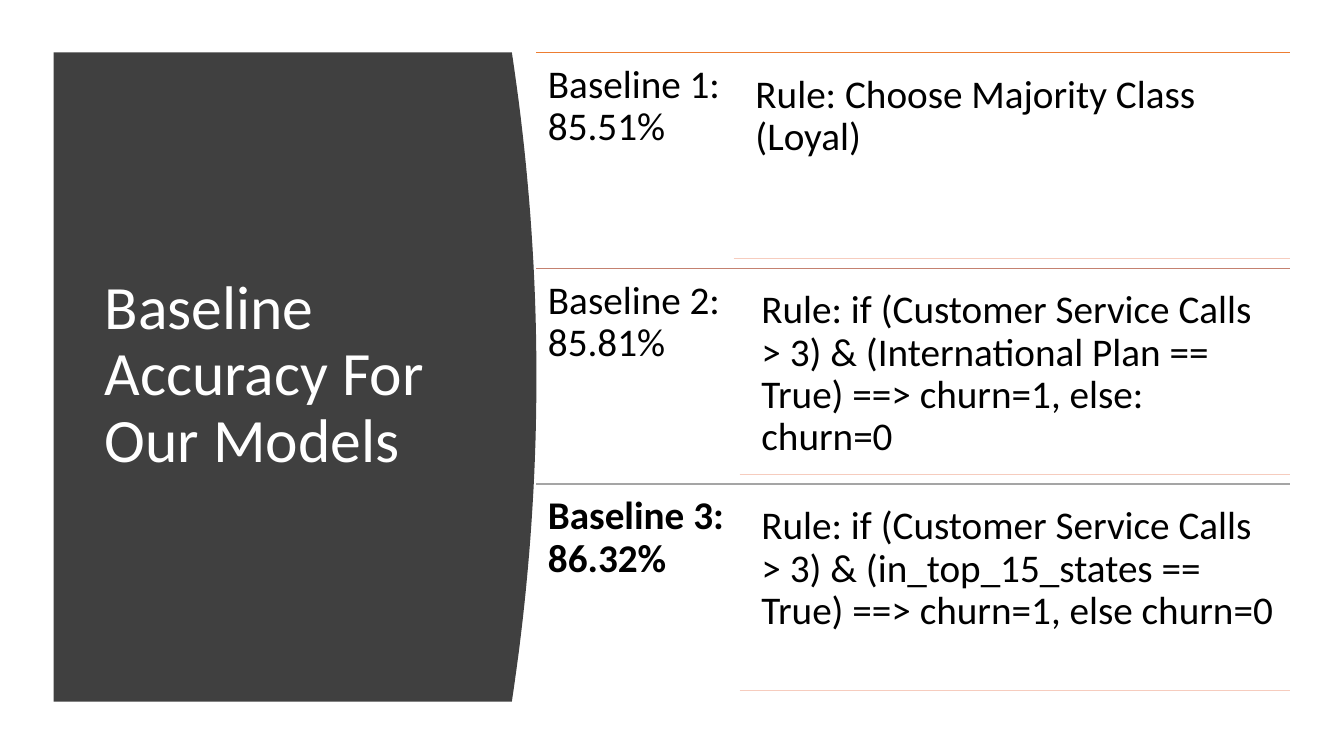
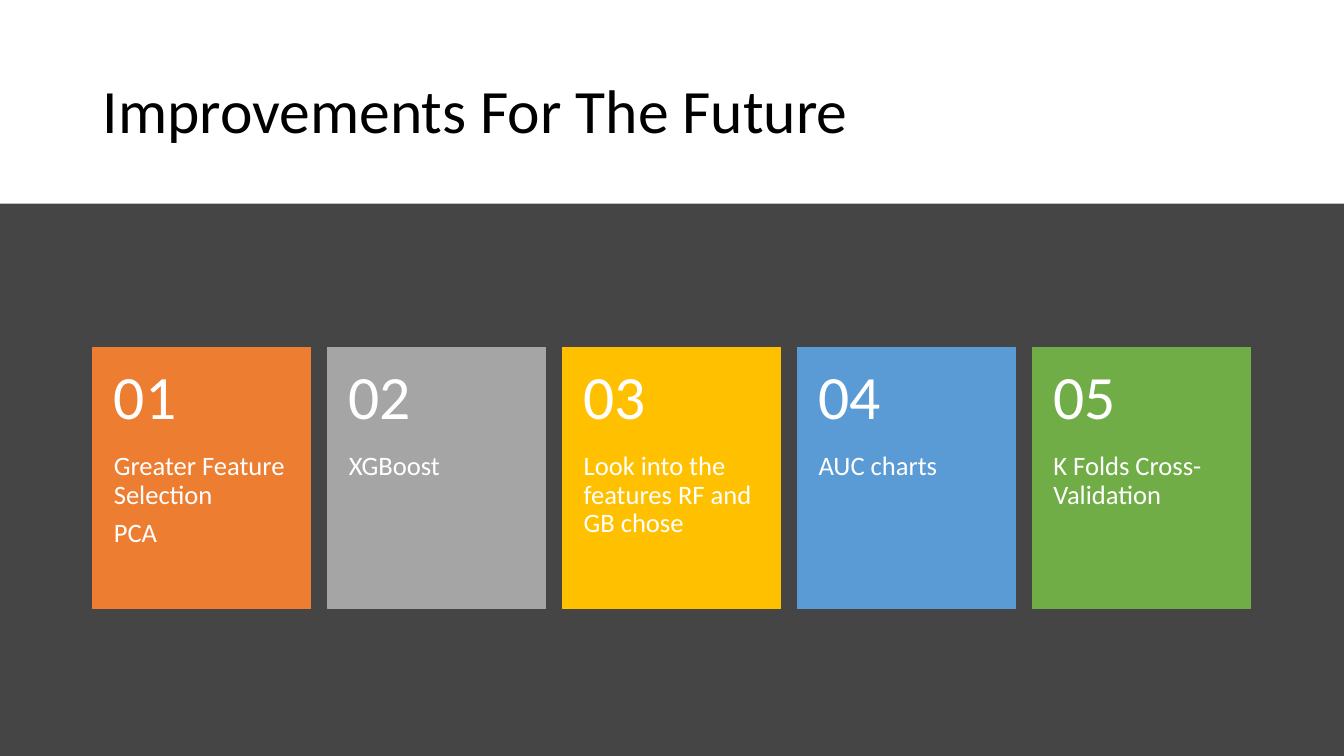
from pptx import Presentation
from pptx.dml.color import RGBColor
from pptx.enum.shapes import MSO_CONNECTOR as CONN, MSO_SHAPE as SHAPE
from pptx.enum.text import MSO_ANCHOR as ANCHOR, MSO_AUTO_SIZE as AUTO, PP_ALIGN as ALIGN
from pptx.oxml import parse_xml
from pptx.oxml.ns import nsdecls
from pptx.util import Cm, Pt

WHITE, BLACK, PANEL, BACKDROP = "FFFFFF", "000000", "404040", "454545"
ORANGE, GREY, YELLOW, BLUE, GREEN = "ED7D31", "A5A5A5", "FFC000", "5B9BD5", "70AD47"
ROSE, PALE = "C48170", "F6CCBE"


def rgb(value):
    """Turn a hex string into a colour."""
    return RGBColor.from_string(value)


def write(tf, text, size=28, color=BLACK, bold=False, anchor=ANCHOR.TOP,
          insets=(0.3, 0.3, 0.3, 0.3), after=0):
    """Fill a text frame, one paragraph per line of text."""
    tf.word_wrap, tf.auto_size, tf.vertical_anchor = True, AUTO.NONE, anchor
    tf.margin_left, tf.margin_top, tf.margin_right, tf.margin_bottom = map(Cm, insets)
    for i, line in enumerate(text.split("\n")):
        p = tf.add_paragraph() if i else tf.paragraphs[0]
        p.alignment, p.line_spacing = ALIGN.LEFT, 0.9
        p.space_before, p.space_after = Pt(0), Pt(after)
        r = p.add_run()
        r.text = line
        r.font.name, r.font.size, r.font.bold = "Calibri", Pt(size), bold
        r.font.color.rgb = rgb(color)


class Deck:
    """Hold the presentation style and the slide being built."""

    def __init__(self):
        """Start a widescreen presentation."""
        self.prs = Presentation()
        self.prs.slide_width, self.prs.slide_height = Cm(33.87), Cm(19.05)

    def slide(self, background):
        """Add a slide with a plain background."""
        self.s = self.prs.slides.add_slide(self.prs.slide_layouts[5])
        fill = self.s.background.fill
        fill.solid()
        fill.fore_color.rgb = rgb(background)

    def title(self, text, x, y, w, h, color):
        """Place the title above the shapes drawn so far."""
        sp = self.s.shapes.title
        sp.element.getparent().append(sp.element)
        sp.left, sp.top, sp.width, sp.height = map(Cm, (x, y, w, h))
        write(sp.text_frame, text, 44, color, anchor=ANCHOR.MIDDLE,
              insets=(0.25, 0.13, 0.25, 0.13))

    def paint(self, sp, color):
        """Give a shape a flat fill without outline."""
        sp.shadow.inherit = False
        sp.fill.solid()
        sp.fill.fore_color.rgb = rgb(color)
        sp.line.fill.background()

    def rect(self, x, y, w, h, color):
        """Draw a flat rectangle."""
        sp = self.s.shapes.add_shape(SHAPE.RECTANGLE, *map(Cm, (x, y, w, h)))
        self.paint(sp, color)
        return sp

    def panel(self, x, y, w, h, bulge, color, steps=40):
        """Draw a panel whose right side bows outwards."""
        fb = self.s.shapes.build_freeform(Cm(x), Cm(y))
        ts = [i / steps for i in range(steps + 1)]
        edge = [(Cm(x + w + 4 * bulge * t * (1 - t)), Cm(y + h * t)) for t in ts]
        fb.add_line_segments(edge + [(Cm(x), Cm(y + h))])
        self.paint(fb.convert_to_shape(), color)

    def text(self, text, x, y, w, h, **fmt):
        """Add a text box."""
        sp = self.s.shapes.add_textbox(*map(Cm, (x, y, w, h)))
        write(sp.text_frame, text, **fmt)

    def rule(self, x1, x2, y, color):
        """Draw a thin horizontal line."""
        c = self.s.shapes.add_connector(CONN.STRAIGHT, *map(Cm, (x1, y, x2, y)))
        c.line.color.rgb, c.line.width = rgb(color), Pt(1)
        c.element.spPr.append(parse_xml(f"<a:effectLst {nsdecls('a')}/>"))


def baselines(deck):
    """Build the slide of baseline accuracies."""
    rows = [
        ("Baseline 1: 85.51%", "Rule: Choose Majority Class (Loyal)", ORANGE, 18.49),
        ("Baseline 2: 85.81%", "Rule: if (Customer Service Calls > 3) & (International "
         "Plan == True) ==> churn=1, else: churn=0", ROSE, 18.64),
        ("Baseline 3: 86.32%", "Rule: if (Customer Service Calls > 3) & (in_top_15_states "
         "== True) ==> churn=1, else churn=0", GREY, 18.64),
    ]
    top, pitch, left, right, pad = 1.32, 5.44, 13.51, 32.51, 0.25
    deck.slide(WHITE)
    deck.panel(1.35, top, 11.55, 16.36, 0.62, PANEL)
    deck.title("Baseline Accuracy For Our Models", 2.39, 2.82, 9.5, 13.31, WHITE)
    for i, (label, rule, color, split) in enumerate(rows):
        y = top + i * pitch
        deck.rule(left, right, y, color)
        deck.text(label, left, y, split - left, pitch, bold=i == len(rows) - 1)
        deck.text(rule, split + pad, y + pad, right - split - pad, 4.95)
        deck.rule(split, right, y + pad + 4.95, PALE)


def improvements(deck):
    """Build the slide of numbered improvement cards."""
    cards = [
        ("Greater Feature Selection\nPCA", ORANGE),
        ("XGBoost", GREY),
        ("Look into the features RF and GB chose", YELLOW),
        ("AUC charts", BLUE),
        ("K Folds Cross-Validation", GREEN),
    ]
    left, top, width, height, pitch, head = 2.34, 8.76, 5.49, 6.58, 5.92, 2.64
    deck.slide(BACKDROP)
    deck.rect(0, 0, 33.87, 5.13, WHITE)
    deck.title("Improvements For The Future", left, 1.02, 29.21, 3.68, BLACK)
    for i, (body, color) in enumerate(cards):
        x = left + i * pitch
        sp = deck.rect(x, top, width, height, color)
        sp.line.color.rgb, sp.line.width = rgb(color), Pt(1)
        deck.text(body, x, top + head, width, height - head, size=19, color=WHITE,
                  insets=(0.53, 0, 0.53, 0.91), after=6.65)
        deck.text(f"{i + 1:02}", x, top, width, head, size=44, color=WHITE,
                  anchor=ANCHOR.MIDDLE, insets=(0.53, 0.46, 0.53, 0.46))


def main():
    """Build and save the presentation."""
    deck = Deck()
    baselines(deck)
    improvements(deck)
    deck.prs.save("out.pptx")


if __name__ == "__main__":
    main()
